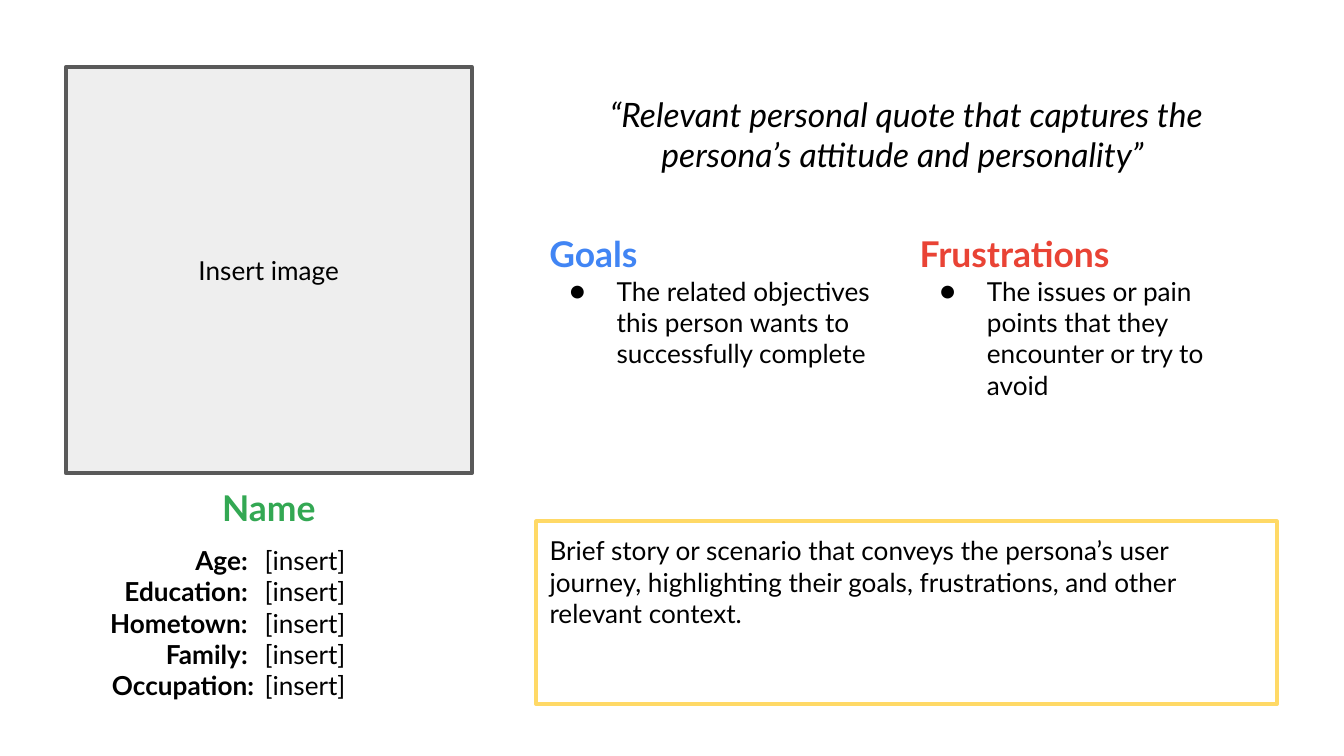
from lxml import etree
from pptx import Presentation
from pptx.dml.color import RGBColor
from pptx.enum.shapes import MSO_SHAPE
from pptx.enum.text import MSO_ANCHOR, PP_ALIGN
from pptx.oxml.ns import qn
from pptx.util import Inches, Pt

RECTANGLE = MSO_SHAPE.RECTANGLE
TOP, MIDDLE = MSO_ANCHOR.TOP, MSO_ANCHOR.MIDDLE
LEFT, CENTER, RIGHT = PP_ALIGN.LEFT, PP_ALIGN.CENTER, PP_ALIGN.RIGHT

FONT = "Lato"
BLACK = RGBColor(0x00, 0x00, 0x00)
GRAY = RGBColor(0xEE, 0xEE, 0xEE)
DARK_GRAY = RGBColor(0x59, 0x59, 0x59)
GREEN = RGBColor(0x33, 0xA8, 0x53)
BLUE = RGBColor(0x41, 0x85, 0xF4)
RED = RGBColor(0xE9, 0x43, 0x35)
YELLOW = RGBColor(0xFF, 0xD9, 0x66)

# Content
PHOTO_LABEL = "Insert image"
NAME = "Name"
# The space after a label is part of its right-aligned position
FACTS = [
    ("Age: ", "[insert]"),
    ("Education: ", "[insert]"),
    ("Hometown: ", "[insert]"),
    ("Family: ", "[insert]"),
    ("Occupation:", "[insert]"),
]
QUOTE = "“Relevant personal quote that captures the persona’s attitude and personality” "
TOPICS = [
    ("Goals ", BLUE, ["The related objectives this person wants to successfully complete"]),
    ("Frustrations ", RED, ["The issues or pain points that they encounter or try to avoid"]),
]
STORY = ("Brief story or scenario that conveys the persona’s user journey, "
         "highlighting their goals, frustrations, and other relevant context.")

# Layout in inches: a 16:9 slide with a profile column and a wider details column
SLIDE_WIDTH = 10
SLIDE_HEIGHT = SLIDE_WIDTH * 9 / 16
MARGIN = 0.5
PHOTO_LEFT, PHOTO_SIZE = 0.49, 3.02
PHOTO_BOTTOM = MARGIN + PHOTO_SIZE
FACTS_TOP, FACTS_HEIGHT = 3.95, 1.33
DETAILS_LEFT = 3.99
DETAILS_WIDTH = SLIDE_WIDTH - MARGIN - DETAILS_LEFT
TOPIC_WIDTH = DETAILS_WIDTH / len(TOPICS)

deck = Presentation()
deck.slide_width, deck.slide_height = Inches(SLIDE_WIDTH), Inches(SLIDE_HEIGHT)
page = deck.slides.add_slide(deck.slide_layouts[6])


def prepare_frame(box, anchor):
    frame = box.text_frame
    frame.word_wrap = True
    frame.vertical_anchor = anchor
    frame.margin_left = frame.margin_right = Inches(0.1)
    frame.margin_top = frame.margin_bottom = Inches(0.1)
    return box


def add_text_box(left, top, width, height, anchor=TOP):
    box = page.shapes.add_textbox(*map(Inches, (left, top, width, height)))
    return prepare_frame(box, anchor)


def add_panel(left, top, width, height, line, fill=None, anchor=TOP):
    panel = page.shapes.add_shape(RECTANGLE, *map(Inches, (left, top, width, height)))
    panel.shadow.inherit = False
    if fill is None:
        panel.fill.background()
    else:
        panel.fill.solid()
        panel.fill.fore_color.rgb = fill
    panel.line.color.rgb = line
    panel.line.width = Pt(2.25)
    return prepare_frame(panel, anchor)


def add_bullet(para, size):
    properties = para._p.get_or_add_pPr()
    properties.set("marL", str(Inches(0.5)))
    properties.set("indent", str(Inches(-0.35)))
    bullet_color = etree.SubElement(properties, qn("a:buClr"))
    etree.SubElement(bullet_color, qn("a:srgbClr"), val=str(BLACK))
    etree.SubElement(properties, qn("a:buSzPts"), val=str(size * 100))
    etree.SubElement(properties, qn("a:buFont"), typeface=FONT)
    etree.SubElement(properties, qn("a:buChar"), char="●")


def write(box, text, size=14, color=BLACK, bold=False, italic=False,
          align=LEFT, bullet=False):
    """Add one paragraph, using the empty first one when there is one."""
    frame = box.text_frame
    para = frame.paragraphs[0] if not frame.text else frame.add_paragraph()
    para.alignment = align
    span = para.add_run()
    span.text = text
    font = span.font
    font.name, font.size, font.bold, font.italic = FONT, Pt(size), bold, italic
    font.color.rgb = color
    if bullet:
        add_bullet(para, size)


# Photo area and name
photo = add_panel(PHOTO_LEFT, MARGIN, PHOTO_SIZE, PHOTO_SIZE,
                  line=DARK_GRAY, fill=GRAY, anchor=MIDDLE)
write(photo, PHOTO_LABEL, align=CENTER)
name_box = add_text_box(PHOTO_LEFT, PHOTO_BOTTOM, PHOTO_SIZE, 0.52)
write(name_box, NAME, size=19, color=GREEN, bold=True, align=CENTER)

# Personal facts: labels beside values
label_box = add_text_box(0.35, FACTS_TOP, 1.64, FACTS_HEIGHT)
value_box = add_text_box(1.87, FACTS_TOP, 1.99, FACTS_HEIGHT)
for label, value in FACTS:
    write(label_box, label, bold=True, align=RIGHT)
    write(value_box, value)

# Quote
quote_box = add_text_box(DETAILS_LEFT, MARGIN, DETAILS_WIDTH, 0.99, anchor=MIDDLE)
write(quote_box, QUOTE, size=18, italic=True, align=CENTER)

# Goals and frustrations
for column, (heading, color, points) in enumerate(TOPICS):
    topic_box = add_text_box(DETAILS_LEFT + column * TOPIC_WIDTH, 1.63, TOPIC_WIDTH, 2.11)
    write(topic_box, heading, size=19, color=color, bold=True)
    for point in points:
        write(topic_box, point, bullet=True)

# Story
story_panel = add_panel(DETAILS_LEFT, 3.88, DETAILS_WIDTH, 1.36, line=YELLOW)
write(story_panel, STORY)

deck.save("out.pptx")
